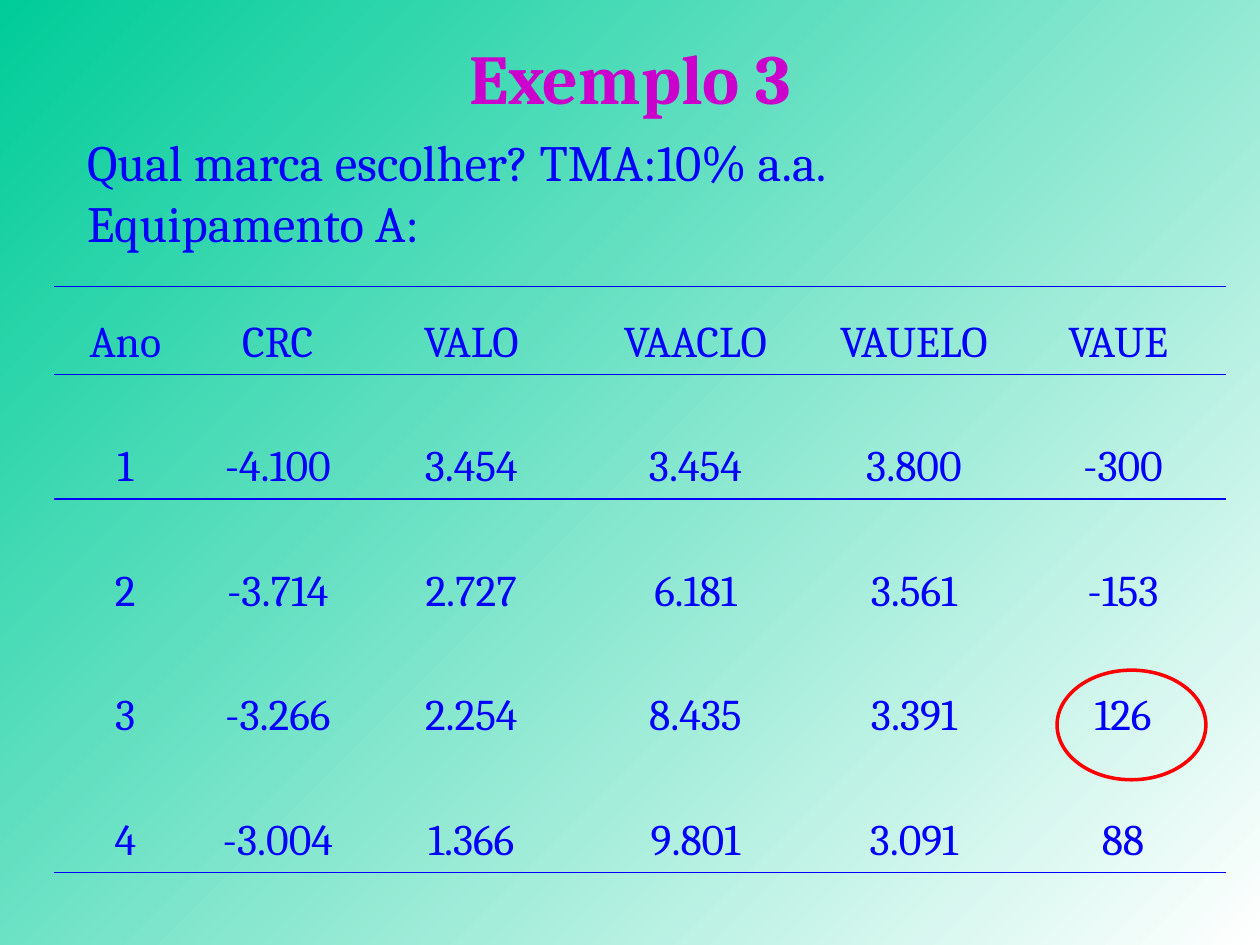
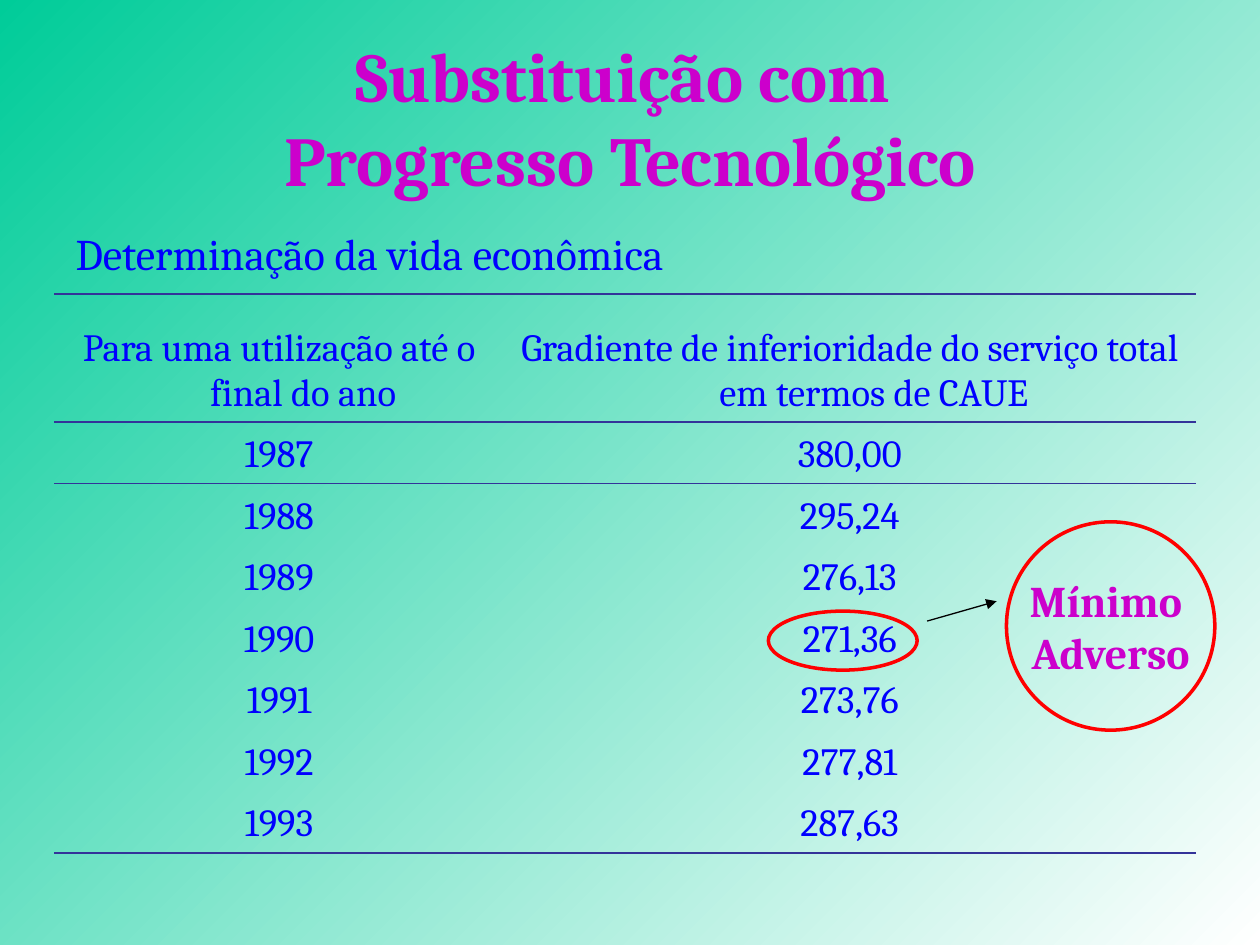
from dataclasses import dataclass

from lxml import etree
from pptx import Presentation
from pptx.dml.color import RGBColor
from pptx.enum.shapes import MSO_CONNECTOR, MSO_SHAPE
from pptx.enum.text import MSO_ANCHOR, MSO_AUTO_SIZE, PP_ALIGN
from pptx.oxml.ns import qn
from pptx.util import Cm, Pt

CENTER, JUSTIFY = PP_ALIGN.CENTER, PP_ALIGN.JUSTIFY
TOP, MIDDLE, BOTTOM = MSO_ANCHOR.TOP, MSO_ANCHOR.MIDDLE, MSO_ANCHOR.BOTTOM
NO_AUTOFIT = MSO_AUTO_SIZE.NONE
ELLIPSE = MSO_SHAPE.OVAL
STRAIGHT = MSO_CONNECTOR.STRAIGHT
PLAIN_TABLE = "{2D5ABB26-0587-4C30-8999-92F81FD0307C}"
HANGING = 0.97  # cm


@dataclass(frozen=True)
class Theme:
    font: str = "Cambria"
    title: str = "CC00CC"
    text: str = "0000FF"
    rule: str = "333399"
    mark: str = "FF0000"
    arrow: str = "000000"
    bg_from: str = "00CC99"
    bg_to: str = "FFFFFF"
    title_size: float = 40
    lead_size: float = 29
    text_size: float = 25
    small_size: float = 22


@dataclass(frozen=True)
class Box:
    """Position and size in centimetres."""
    left: float
    top: float
    width: float
    height: float

    def emu(self) -> tuple:
        return Cm(self.left), Cm(self.top), Cm(self.width), Cm(self.height)


@dataclass(frozen=True)
class TableSpec:
    left: float
    top: float
    cols: tuple
    header_height: float
    row_height: float
    rows: tuple
    size: float
    rule_color: str
    rule_width: float


THEME = Theme()


# Text
def write(tf, text: str, *, size: float, color: str = THEME.text, bold: bool = False,
          align=CENTER, anchor=None, hanging: float = 0, before: float = 0) -> None:
    tf.text = text
    if anchor is not None:
        tf.vertical_anchor = anchor
    for p in tf.paragraphs:
        pPr = p._p.get_or_add_pPr()
        pPr.set("marL", str(Cm(hanging)))
        pPr.set("indent", str(-Cm(hanging)))
        etree.SubElement(pPr, qn("a:buNone"))
        p.alignment = align
        p.space_before = Pt(before)
        for r in p.runs:
            r.font.name = THEME.font
            r.font.size = Pt(size)
            r.font.bold = bold
            r.font.color.rgb = RGBColor.from_string(color)


def fill_placeholder(sp, box: Box, text: str, **style) -> None:
    sp.left, sp.top, sp.width, sp.height = box.emu()
    sp.text_frame.word_wrap = True
    sp.text_frame.auto_size = NO_AUTOFIT
    write(sp.text_frame, text, **style)


def add_slide(prs, title: str, title_height: float, body: str, body_box: Box, **style):
    s = prs.slides.add_slide(prs.slide_layouts[1])
    fill_placeholder(s.shapes.title, Box(1.27, 0.76, 22.86, title_height), title,
                     size=THEME.title_size, color=THEME.title, bold=True, anchor=MIDDLE)
    fill_placeholder(s.placeholders[1], body_box, body, align=JUSTIFY, anchor=TOP, **style)
    return s


# Tables
def add_rule(cell, side: str, color: str, width: float) -> None:
    ln = etree.Element(qn(f"a:{side}"), w=str(Pt(width)))
    fill = etree.SubElement(ln, qn("a:solidFill"))
    etree.SubElement(fill, qn("a:srgbClr"), val=color)
    cell._tc.get_or_add_tcPr().insert(0, ln)


def add_ruled_table(s, spec: TableSpec) -> None:
    last = len(spec.rows) - 1
    box = Box(spec.left, spec.top, sum(spec.cols),
              spec.header_height + last * spec.row_height)
    table = s.shapes.add_table(len(spec.rows), len(spec.cols), *box.emu()).table
    table.first_row = table.horz_banding = False
    table._tbl.tblPr.find(qn("a:tableStyleId")).text = PLAIN_TABLE
    for col, width in zip(table.columns, spec.cols):
        col.width = Cm(width)
    for i, values in enumerate(spec.rows):
        table.rows[i].height = Cm(spec.row_height if i else spec.header_height)
        for j, value in enumerate(values):
            cell = table.cell(i, j)
            cell.fill.background()
            cell.vertical_anchor = BOTTOM
            write(cell.text_frame, value, size=spec.size, hanging=HANGING)
            if i in (0, last):
                add_rule(cell, "lnB", spec.rule_color, spec.rule_width)
            if i in (0, 1):
                add_rule(cell, "lnT", spec.rule_color, spec.rule_width)


# Marks
def add_ring(s, box: Box):
    sp = s.shapes.add_shape(ELLIPSE, *box.emu())
    sp.shadow.inherit = False
    sp.fill.background()
    sp.line.color.rgb = RGBColor.from_string(THEME.mark)
    sp.line.width = Pt(2)
    return sp


def add_arrow(s, x1: float, y1: float, x2: float, y2: float) -> None:
    line = s.shapes.add_connector(STRAIGHT, Cm(x1), Cm(y1), Cm(x2), Cm(y2))
    line.line.color.rgb = RGBColor.from_string(THEME.arrow)
    line.line.width = Pt(0.75)
    etree.SubElement(line.line._get_or_add_ln(), qn("a:tailEnd"), type="triangle")
    etree.SubElement(line._element.spPr, qn("a:effectLst"))


def set_background(prs) -> None:
    fill = prs.slide_master.background.fill
    fill.gradient()
    fill.gradient_angle = 315
    for stop, color in zip(fill.gradient_stops, (THEME.bg_from, THEME.bg_to)):
        stop.color.rgb = RGBColor.from_string(color)


# Slides
EQUIPMENT_A = TableSpec(
    1.09, 5.77, (2.87, 3.28, 4.52, 4.52, 4.29, 4.14), 1.78, 2.51,
    (("Ano", "CRC", "VALO", "VAACLO", "VAUELO", "VAUE "),
     ("1", "-4.100", "3.454", "3.454", "3.800", "-300"),
     ("2", "-3.714", "2.727", "6.181", "3.561", "-153"),
     ("3", "-3.266", "2.254", "8.435", "3.391", "126"),
     ("4", "-3.004", "1.366", "9.801", "3.091", "88")),
    THEME.text_size, THEME.text, 0.75)

ECONOMIC_LIFE = TableSpec(
    1.09, 5.92, (9.07, 13.94), 2.59, 1.24,
    (("Para uma utilização até o final do ano",
      "Gradiente de inferioridade do serviço total em termos de CAUE"),
     ("1987", "380,00"),
     ("1988", "295,24"),
     ("1989", "276,13"),
     ("1990", "271,36"),
     ("1991", "273,76"),
     ("1992", "277,81"),
     ("1993", "287,63")),
    THEME.small_size, THEME.rule, 1.08)


def example_slide(prs) -> None:
    s = add_slide(prs, "Exemplo 3", 1.55,
                  "Qual marca escolher? TMA:10% a.a.\nEquipamento A:",
                  Box(1.5, 2.51, 22.02, 2.79), size=THEME.lead_size)
    add_ruled_table(s, EQUIPMENT_A)
    add_ring(s, Box(21.31, 13.51, 3, 2.21))


def progress_slide(prs) -> None:
    s = add_slide(prs, "Substituição com \vProgresso Tecnológico", 3.18,
                  "Determinação da vida econômica", Box(1.27, 4.45, 22.63, 2.08),
                  size=THEME.text_size, hanging=HANGING)
    add_ruled_table(s, ECONOMIC_LIFE)
    add_ring(s, Box(15.49, 12.32, 3, 1.19))
    add_arrow(s, 18.69, 12.52, 20.09, 12.12)
    minimum = add_ring(s, Box(20.29, 10.52, 4.2, 4.2))
    minimum.text_frame.word_wrap = False
    write(minimum.text_frame, "Mínimo \nAdverso", size=THEME.text_size,
          color=THEME.title, bold=True, anchor=MIDDLE)


def main() -> None:
    prs = Presentation()
    prs.slide_width, prs.slide_height = Cm(25.4), Cm(19.05)
    set_background(prs)
    example_slide(prs)
    progress_slide(prs)
    prs.save("out.pptx")


if __name__ == "__main__":
    main()
